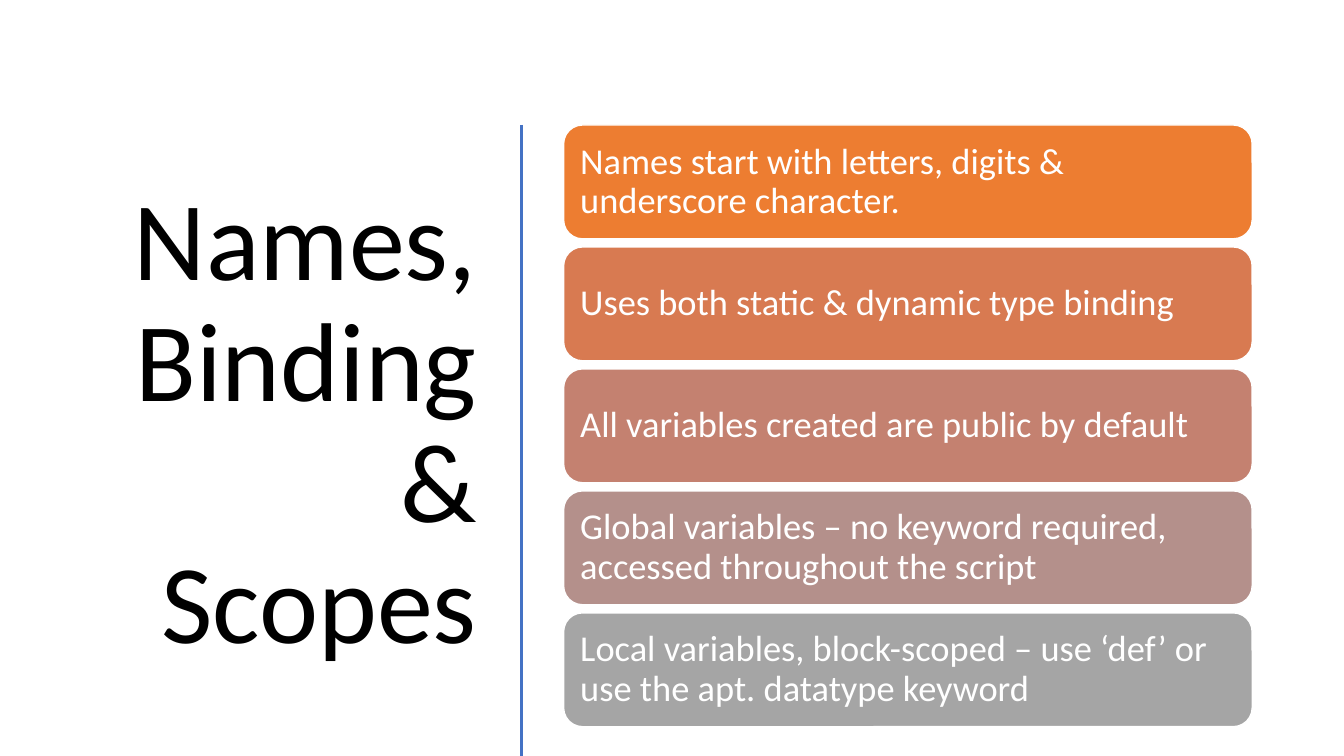
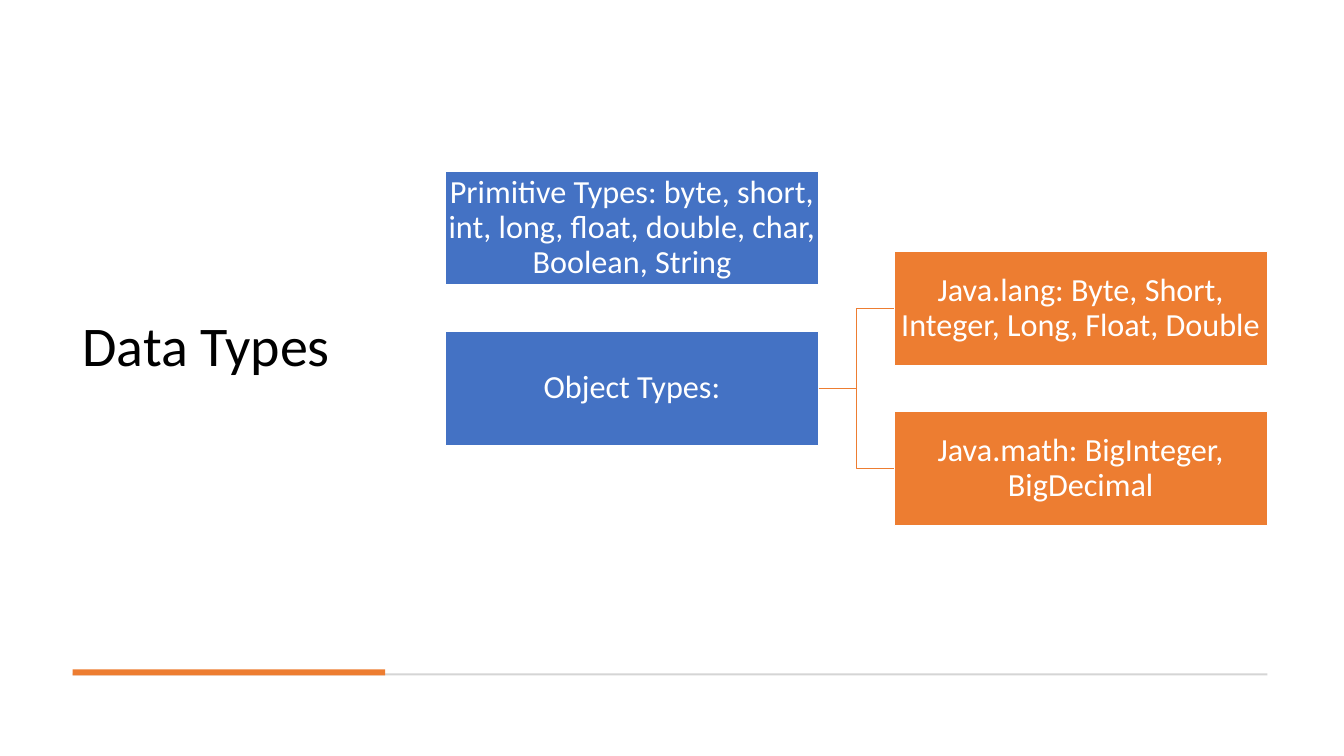
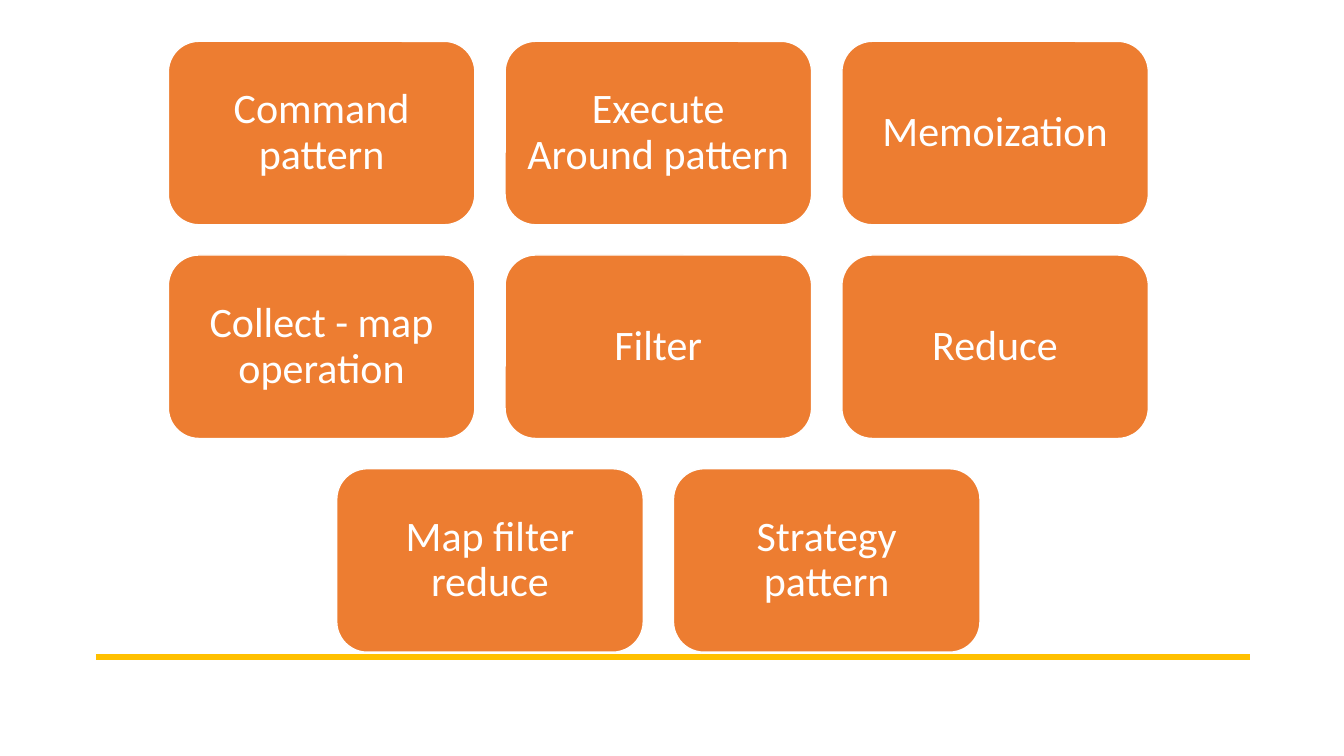
from dataclasses import dataclass

from pptx import Presentation
from pptx.dml.color import RGBColor
from pptx.enum.shapes import MSO_CONNECTOR as Connector, MSO_SHAPE as Preset
from pptx.enum.text import MSO_ANCHOR as Anchor, PP_ALIGN as Align
from pptx.oxml.xmlchemy import OxmlElement
from pptx.shapes.autoshape import Shape
from pptx.shapes.connector import Connector as Line
from pptx.slide import Slide
from pptx.util import Inches, Pt

RIGHT_SIDE, LEFT_SIDE = 3, 1


@dataclass(frozen=True)
class Theme:
    font: str = "Calibri"
    ink: str = "000000"
    paper: str = "FFFFFF"
    blue: str = "4472C4"
    orange: str = "ED7D31"
    gold: str = "FFC000"
    rule_grey: str = "D5D5D5"
    fade: tuple[str, ...] = ("ED7D31", "D87A51", "C48170", "B4908B", "A5A5A5")
    big_title: int = 80
    title: int = 40
    rule_size: int = 26
    type_size: int = 23
    pattern_size: int = 30
    outline: float = 1
    line_spacing: float = 0.9


THEME = Theme()


@dataclass(frozen=True)
class Area:
    left: float
    top: float
    width: float
    height: float

    def inches(self) -> tuple[int, int, int, int]:
        return (Inches(self.left), Inches(self.top),
                Inches(self.width), Inches(self.height))


@dataclass(frozen=True)
class Grid:
    """Equal cells; a column or row number may be a fraction."""
    left: float
    top: float
    cell_width: float
    cell_height: float
    column_gap: float = 0
    row_gap: float = 0

    def cell(self, column: float, row: float) -> Area:
        return Area(self.left + column * (self.cell_width + self.column_gap),
                    self.top + row * (self.cell_height + self.row_gap),
                    self.cell_width, self.cell_height)


@dataclass(frozen=True)
class CardStyle:
    preset: Preset
    size: int
    inset: float
    align: Align


@dataclass(frozen=True)
class TypeBox:
    text: str
    column: float
    row: float
    fill: str


RULE_CARD = CardStyle(Preset.ROUNDED_RECTANGLE, THEME.rule_size, 0.11, Align.LEFT)
TYPE_CARD = CardStyle(Preset.RECTANGLE, THEME.type_size, 0.02, Align.CENTER)
PATTERN_CARD = CardStyle(Preset.ROUNDED_RECTANGLE, THEME.pattern_size, 0.12, Align.CENTER)

NAMING_RULES = (
    "Names start with letters, digits & underscore character.",
    "Uses both static & dynamic type binding",
    "All variables created are public by default",
    "Global variables – no keyword required, accessed throughout the script",
    "Local variables, block-scoped – use ‘def’ or use the apt. datatype keyword",
)
PRIMITIVE_TYPES = TypeBox(
    "Primitive Types: byte, short, int, long, float, double, char, Boolean, String",
    0, 0, THEME.blue)
OBJECT_TYPES = TypeBox("Object Types:", 0, 1, THEME.blue)
OBJECT_PACKAGES = (
    TypeBox("Java.lang: Byte, Short, Integer, Long, Float, Double", 1, 0.5, THEME.orange),
    TypeBox("Java.math: BigInteger, BigDecimal", 1, 1.5, THEME.orange),
)
PATTERN_ROWS = (
    ("Command pattern", "Execute Around pattern", "Memoization"),
    ("Collect - map operation", "Filter", "Reduce"),
    ("Map filter reduce", "Strategy pattern"),
)


def rgb(colour: str) -> RGBColor:
    return RGBColor.from_string(colour)


def write(shape: Shape, text: str, size: int, colour: str, align: Align) -> None:
    frame = shape.text_frame
    frame.text = text
    frame.word_wrap = True
    frame.vertical_anchor = Anchor.MIDDLE
    paragraph = frame.paragraphs[0]
    paragraph.alignment = align
    paragraph.line_spacing = THEME.line_spacing
    font = paragraph.runs[0].font
    font.name, font.size = THEME.font, Pt(size)
    font.color.rgb = rgb(colour)


def add_title(slide: Slide, text: str, area: Area, size: int, align: Align) -> None:
    write(slide.shapes.add_textbox(*area.inches()), text, size, THEME.ink, align)


def add_block(slide: Slide, preset: Preset, area: Area, fill: str) -> Shape:
    """Filled shape with neither shadow nor outline."""
    block = slide.shapes.add_shape(preset, *area.inches())
    block.shadow.inherit = False
    block.fill.solid()
    block.fill.fore_color.rgb = rgb(fill)
    block.line.fill.background()
    return block


def add_card(slide: Slide, text: str, area: Area, fill: str, style: CardStyle) -> Shape:
    card = add_block(slide, style.preset, area, fill)
    card.line.color.rgb = rgb(THEME.paper)
    card.line.width = Pt(THEME.outline)
    frame = card.text_frame
    frame.margin_left = frame.margin_right = Inches(style.inset)
    frame.margin_top = frame.margin_bottom = Inches(style.inset)
    write(card, text, style.size, THEME.paper, style.align)
    return card


def style_line(line: Line, colour: str, width: float) -> None:
    line.line.color.rgb = rgb(colour)
    line.line.width = Pt(width)
    line.element.spPr.append(OxmlElement("a:effectLst"))


def add_line(slide: Slide, start: tuple[float, float], end: tuple[float, float],
             colour: str, width: float) -> None:
    ends = [Inches(value) for value in (*start, *end)]
    style_line(slide.shapes.add_connector(Connector.STRAIGHT, *ends), colour, width)


def add_branch(slide: Slide, parent: Shape, child: Shape) -> None:
    branch = slide.shapes.add_connector(Connector.ELBOW, 0, 0, 0, 0)
    branch.begin_connect(parent, RIGHT_SIDE)
    branch.end_connect(child, LEFT_SIDE)
    style_line(branch, THEME.orange, THEME.outline)


def build_names(slide: Slide) -> None:
    add_title(slide, "Names, Binding & Scopes", Area(0.52, 1.17, 4.31, 6.11),
              THEME.big_title, Align.RIGHT)
    add_line(slide, (5.17, 1.24), (5.17, 7.5), THEME.blue, 2)
    grid = Grid(5.59, 1.24, 6.83, 1.13, row_gap=0.08)
    for row, (rule, fill) in enumerate(zip(NAMING_RULES, THEME.fade)):
        add_card(slide, rule, grid.cell(0, row), fill, RULE_CARD)


def build_data_types(slide: Slide) -> None:
    left, title_width = 0.72, 3.1
    add_title(slide, "Data Types", Area(left, 0.47, title_width, 5.97),
              THEME.title, Align.LEFT)
    add_block(slide, Preset.RECTANGLE, Area(left, 6.68, 11.85, 0.02), THEME.rule_grey)
    add_block(slide, Preset.RECTANGLE, Area(left, 6.64, title_width, 0.06), THEME.orange)

    grid = Grid(4.42, 1.7, 3.7, 1.13, column_gap=0.75, row_gap=0.46)

    def add_type(box: TypeBox) -> Shape:
        return add_card(slide, box.text, grid.cell(box.column, box.row),
                        box.fill, TYPE_CARD)

    add_type(PRIMITIVE_TYPES)
    object_types = add_type(OBJECT_TYPES)
    for package in OBJECT_PACKAGES:
        add_branch(slide, object_types, add_type(package))


def build_patterns(slide: Slide) -> None:
    add_line(slide, (0.95, 6.52), (12.4, 6.52), THEME.gold, 4.5)
    grid = Grid(1.67, 0.41, 3.04, 1.82, column_gap=0.3, row_gap=0.3)
    columns = max(len(names) for names in PATTERN_ROWS)
    for row, names in enumerate(PATTERN_ROWS):
        first = (columns - len(names)) / 2
        for column, name in enumerate(names):
            add_card(slide, name, grid.cell(first + column, row),
                     THEME.orange, PATTERN_CARD)


def main() -> None:
    deck = Presentation()
    deck.slide_width, deck.slide_height = Inches(13.33), Inches(7.5)
    blank = deck.slide_layouts[6]
    for build in (build_names, build_data_types, build_patterns):
        build(deck.slides.add_slide(blank))
    deck.save("out.pptx")


if __name__ == "__main__":
    main()
